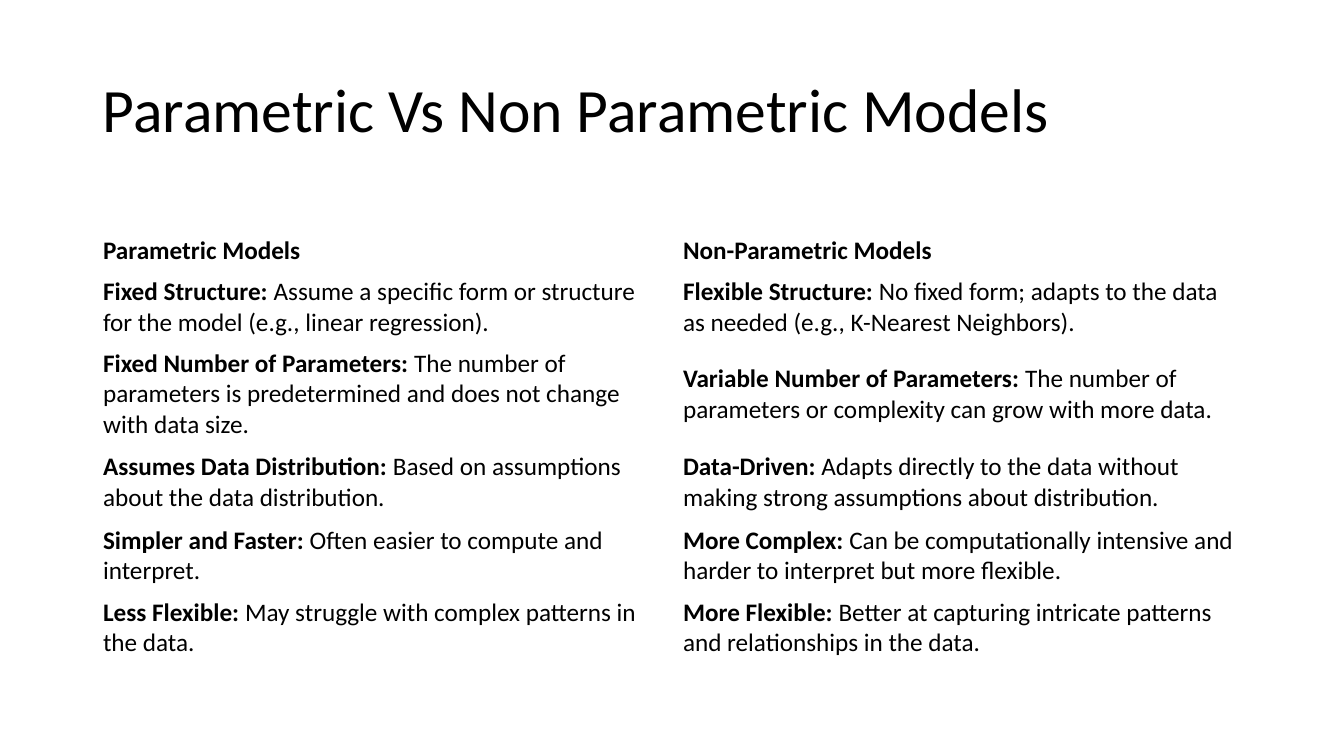
from pptx import Presentation
from pptx import util as u
from pptx.dml.color import RGBColor
from pptx.enum import text

TITLE = "Parametric Vs Non Parametric Models"
HEADINGS = ("Parametric Models", "Non-Parametric Models")
# Each row: (term, explanation) for either kind of model
TRAITS = [
    (("Fixed Structure:", " Assume a specific form or structure for the model (e.g., linear regression)."),
     ("Flexible Structure:", " No fixed form; adapts to the data as needed (e.g., K-Nearest Neighbors).")),
    (("Fixed Number of Parameters:",
      " The number of parameters is predetermined and does not change with data size."),
     ("Variable Number of Parameters:",
      " The number of parameters or complexity can grow with more data.")),
    (("Assumes Data Distribution:", " Based on assumptions about the data distribution."),
     ("Data-Driven:", " Adapts directly to the data without making strong assumptions about distribution.")),
    (("Simpler and Faster:", " Often easier to compute and interpret."),
     ("More Complex:", " Can be computationally intensive and harder to interpret but more flexible.")),
    (("Less Flexible:", " May struggle with complex patterns in the data."),
     ("More Flexible:", " Better at capturing intricate patterns and relationships in the data.")),
]

THEME = {
    "font": "Calibri",
    "ink": RGBColor(0, 0, 0),
    "title_size": 44,
    "body_size": 18,
}

PX_PER_INCH = 100.8
SLIDE_W, SLIDE_H = 1344, 756
LEFT, COLUMN_W = 93, 580
TITLE_TOP, TITLE_H = 40, 146
TABLE_TOP = 230
ROW_HEIGHTS = (41, 72, 102, 75, 72, 72)


def px(length):
    return u.Inches(length / PX_PER_INCH)


def add_run(paragraph, words, size, bold=False):
    run = paragraph.add_run()
    run.text = words
    run.font.name = THEME["font"]
    run.font.size = u.Pt(size)
    run.font.bold = bold
    run.font.color.rgb = THEME["ink"]


def add_title(slide):
    frame = slide.shapes.add_textbox(
        px(LEFT), px(TITLE_TOP), px(2 * COLUMN_W), px(TITLE_H)).text_frame
    frame.word_wrap = True
    frame.vertical_anchor = text.MSO_ANCHOR.MIDDLE
    heading = frame.paragraphs[0]
    heading.line_spacing = 0.9
    add_run(heading, TITLE, THEME["title_size"])


def add_comparison(slide):
    rows = [[(heading, "") for heading in HEADINGS], *TRAITS]
    comparison = slide.shapes.add_table(
        len(rows), len(HEADINGS), px(LEFT), px(TABLE_TOP),
        px(COLUMN_W * len(HEADINGS)), px(sum(ROW_HEIGHTS))).table
    comparison.first_row = False
    comparison.horz_banding = False
    for column in comparison.columns:
        column.width = px(COLUMN_W)
    for r, (row, height) in enumerate(zip(rows, ROW_HEIGHTS)):
        comparison.rows[r].height = px(height)
        for c, (term, explanation) in enumerate(row):
            cell = comparison.cell(r, c)
            cell.fill.background()
            cell.vertical_anchor = text.MSO_ANCHOR.MIDDLE
            paragraph = cell.text_frame.paragraphs[0]
            add_run(paragraph, term, THEME["body_size"], bold=True)
            if explanation:
                add_run(paragraph, explanation, THEME["body_size"])


def main():
    deck = Presentation()
    deck.slide_width, deck.slide_height = px(SLIDE_W), px(SLIDE_H)
    slide = deck.slides.add_slide(deck.slide_layouts[6])
    add_title(slide)
    add_comparison(slide)
    deck.save("out.pptx")


if __name__ == "__main__":
    main()
